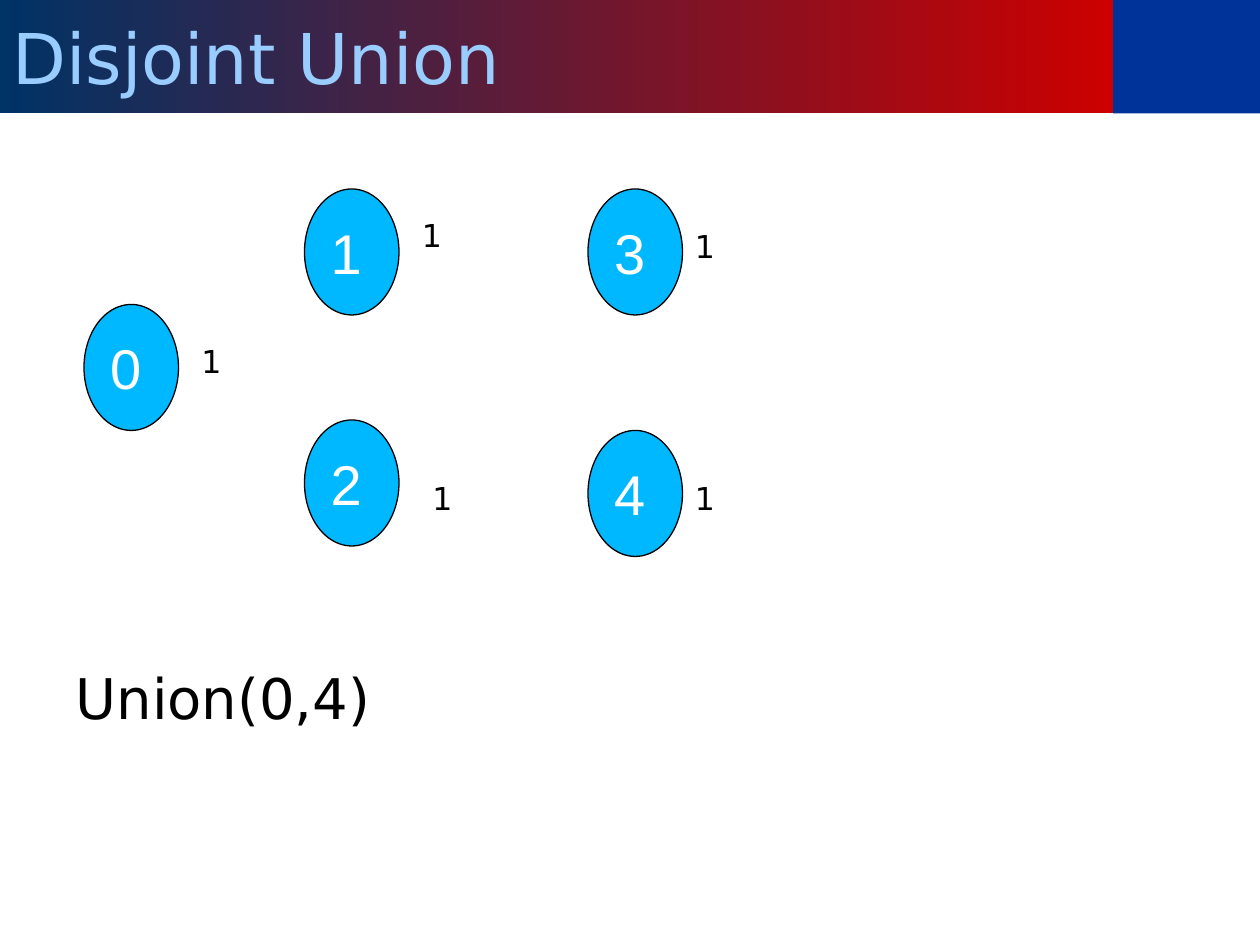
from typing import NamedTuple

from lxml import etree
from pptx import Presentation
from pptx import util as u
from pptx.dml.color import RGBColor
from pptx.enum import shapes, text

COLORS = {"navy": "003366", "red": "CC0000", "blue": "003399", "sky": "99CCFF",
          "node": "00B8FF", "black": "000000", "white": "FFFFFF"}
SANS = "DejaVu Sans"

# Grid of 120 columns by 90 rows
WIDTH, HEIGHT = u.Inches(10), u.Inches(7.5)
COLS, ROWS = 120, 90
BAND_COLS, BAND_ROWS = 106, 10.8
NODE_COLS, NODE_ROWS = 9, 12


class Node(NamedTuple):
    name: str
    col: int
    row: int
    size_col: int
    size_row: int
    size: str = "1"


NODES = [
    Node("4", 56, 41, 65, 45),
    Node("3", 56, 18, 65, 21),
    Node("2", 29, 40, 40, 45),
    Node("1", 29, 18, 39, 20),
    Node("0", 8, 29, 18, 32),
]


def rgb(name: str) -> RGBColor:
    return RGBColor.from_string(COLORS[name])


def box(col: float, row: float, cols: float, rows: float) -> tuple:
    return (round(col * WIDTH / COLS), round(row * HEIGHT / ROWS),
            round(cols * WIDTH / COLS), round(rows * HEIGHT / ROWS))


def apply(obj, **values) -> None:
    for name, value in values.items():
        setattr(obj, name, value)


def place(sp, *cells: float) -> None:
    apply(sp, **dict(zip(("left", "top", "width", "height"), box(*cells))))


def write(sp, words: str, size: int, color: str, font: str = SANS, **frame):
    tf = sp.text_frame
    apply(tf, word_wrap=True, **frame)
    p = tf.paragraphs[0]
    p.alignment = text.PP_ALIGN.LEFT
    r = p.add_run()
    r.text = words
    apply(r.font, size=u.Pt(size), name=font)
    r.font.color.rgb = rgb(color)
    return p


def add_filled(slide, kind, fill: str, *cells: float):
    sp = slide.shapes.add_shape(kind, *box(*cells))
    sp.shadow.inherit = False
    sp.fill.solid()
    sp.fill.fore_color.rgb = rgb(fill)
    return sp


def add_node(slide, node: Node) -> None:
    sp = add_filled(slide, shapes.MSO_SHAPE.OVAL, "node",
                    node.col, node.row, NODE_COLS, NODE_ROWS)
    sp.line.color.rgb = rgb("black")
    sp.line.width = u.Pt(0.75)
    write(sp, node.name, 32, "white", "Arial",
          vertical_anchor=text.MSO_ANCHOR.MIDDLE)


def add_size(slide, node: Node) -> None:
    sp = slide.shapes.add_textbox(*box(node.size_col, node.size_row, 6.24, 4.8))
    write(sp, node.size, 18, "black")


prs = Presentation()
apply(prs, slide_width=WIDTH, slide_height=HEIGHT)
slide = prs.slides.add_slide(prs.slide_layouts[1])
title, body = slide.placeholders

# Title band
place(title, 0, 0, BAND_COLS, BAND_ROWS)
title.fill.gradient()
title.fill.gradient_angle = 180
for stop, color in zip(title.fill.gradient_stops, ("red", "navy")):
    stop.color.rgb = rgb(color)
write(title, "Disjoint Union", 40, "sky",
      vertical_anchor=text.MSO_ANCHOR.MIDDLE)
corner = add_filled(slide, shapes.MSO_SHAPE.RECTANGLE, "blue",
                    BAND_COLS, 0, COLS - BAND_COLS, BAND_ROWS)
corner.line.fill.background()

# Operation at the foot of the body
place(body, 6, 16, 108, 64.4)
p = write(body, "Union(0,4)", 32, "black", margin_bottom=u.Inches(0.9),
          vertical_anchor=text.MSO_ANCHOR.BOTTOM)
pPr = p._p.get_or_add_pPr()
pPr.set("marL", "0")
pPr.set("indent", "0")
etree.SubElement(pPr, pPr.tag.replace("pPr", "buNone"))

# Nodes and their set sizes
for draw in (add_node, add_size):
    for node in NODES:
        draw(slide, node)

prs.save("out.pptx")
